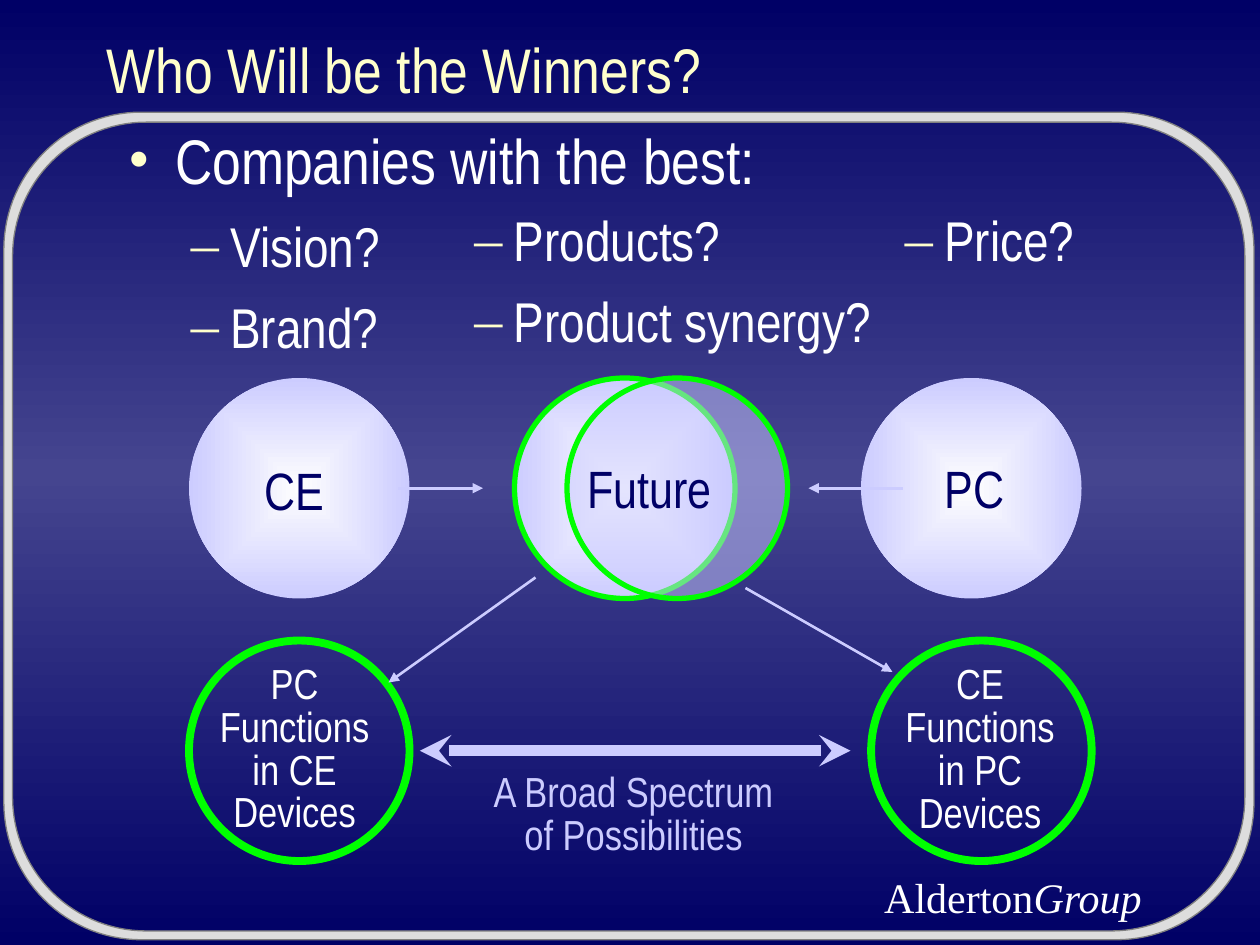
from math import cos, radians, sin

from lxml.etree import SubElement
from pptx import Presentation
from pptx.dml.color import RGBColor
from pptx.enum.shapes import MSO_CONNECTOR, MSO_SHAPE
from pptx.enum.text import MSO_ANCHOR, MSO_AUTO_SIZE, PP_ALIGN
from pptx.oxml.ns import qn
from pptx.util import Pt

NAVY = RGBColor(0x00, 0x00, 0x66)
INDIGO = RGBColor(0x45, 0x45, 0x8F)
LAVENDER = RGBColor(0xCC, 0xCC, 0xFF)
NEAR_WHITE = RGBColor(0xFE, 0xFE, 0xFE)
WHITE = RGBColor(0xFF, 0xFF, 0xFF)
CREAM = RGBColor(0xFF, 0xFF, 0xCC)
GREEN = RGBColor(0x00, 0xFF, 0x00)
SILVER = RGBColor(0xDD, 0xDD, 0xDD)
GRAY = RGBColor(0x80, 0x80, 0x80)

NARROW, SERIF = "Arial Narrow", "Times New Roman"
DIAMETER = 126
TOP_ROW, BOTTOM_ROW = 216, 366

# left, top, right, bottom, corner radius
FRAME = [(2.2, 64.1, 716.6, 537, 78.5), (7.2, 69.8, 711.4, 532, 76.5)]

# left, top, width, height, [(text, bullet, size, margin, hanging indent, space before)]
LISTS = [
    (66, 66, 612, 324, [("Companies with the best:", "•", 36, 27, 27, 0),
                        ("Vision?", "–", 32, 58.5, 22.5, 8),
                        ("Brand?", "–", 32, 58.5, 22.5, 8)]),
    (192, 114, 360, 137.5, [("Products?", "–", 32, 94.5, 22.5, 0),
                            ("Product synergy?", "–", 32, 94.5, 22.5, 8)]),
    (438, 114, 360, 137.5, [("Price?", "–", 32, 94.5, 22.5, 0)]),
]

# left, top, fill style, outline width
CIRCLES = [
    (108, TOP_ROW, "glow", 0),
    (492, TOP_ROW, "glow", 0),
    (294, TOP_ROW, "glow", 3),
    (324, TOP_ROW, "glass", 3),
    (108, BOTTOM_ROW, "none", 4.5),
    (497.8, BOTTOM_ROW, "none", 4.5),
]

# start, end, width, arrowhead, arrowhead at both ends
ARROWS = [
    ((240, 429), (486, 429), 6, "stealth", True),
    ((227.5, 279), (276, 279), 1.5, "triangle", False),
    ((516, 279), (462, 279), 1.5, "triangle", False),
    ((306, 330), (222, 390), 1.5, "triangle", False),
    ((426, 336), (510, 384), 1.5, "triangle", False),
]

# text, centre, top, width, height, size, colour, line spacing
LABELS = [
    ("CE", 168, 258, 54, 43, 30, NAVY, 1),
    ("Future", 371.2, 257, 92, 43, 30, NAVY, 1),
    ("PC", 557, 257, 54, 43, 30, NAVY, 1),
    ("PC\vFunctions\vin CE\vDevices", 168.3, 376.5, 106, 105, 24, WHITE, 0.85),
    ("CE\vFunctions\vin PC\vDevices", 560, 376.8, 106, 105, 24, WHITE, 0.85),
    ("A Broad Spectrum\vof Possibilities", 362, 438.3, 182, 56, 24, LAVENDER, 0.85),
]


def set_gradient(fill, owner, stops, rectangular=False):
    """Fill with (percent, colour) stops, top to bottom or from the centre out."""
    fill.gradient()
    gradient = next(owner.iter(qn("a:gradFill")))
    for child in list(gradient):
        gradient.remove(child)
    stop_list = SubElement(gradient, qn("a:gsLst"))
    for percent, color in stops:
        stop = SubElement(stop_list, qn("a:gs"), pos=str(percent * 1000))
        SubElement(stop, qn("a:srgbClr"), val=str(color))
    if rectangular:
        shade = SubElement(gradient, qn("a:path"), path="rect")
        SubElement(shade, qn("a:fillToRect"), l="50000", t="50000", r="50000", b="50000")
    else:
        SubElement(gradient, qn("a:lin"), ang="5400000", scaled="1")


def rounded_outline(left, top, right, bottom, radius):
    corners = [(right - radius, top + radius, 270), (right - radius, bottom - radius, 0),
               (left + radius, bottom - radius, 90), (left + radius, top + radius, 180)]
    return [(Pt(x + radius * cos(radians(start + turn))),
             Pt(y + radius * sin(radians(start + turn))))
            for x, y, start in corners for turn in range(0, 91, 3)]


def add_frame(page):
    outer, inner = [rounded_outline(*ring) for ring in FRAME]
    builder = page.shapes.build_freeform(*outer[0])
    builder.add_line_segments(outer[1:])
    builder.move_to(*inner[0])
    builder.add_line_segments(inner[1:])
    frame = builder.convert_to_shape()
    frame.shadow.inherit = False
    frame.fill.solid()
    frame.fill.fore_color.rgb = SILVER
    frame.line.color.rgb = GRAY
    frame.line.width = Pt(0.75)


def add_text_box(page, left, top, width, height, wrap=True):
    box = page.shapes.add_textbox(Pt(left), Pt(top), Pt(width), Pt(height))
    box.text_frame.word_wrap = wrap
    box.text_frame.auto_size = MSO_AUTO_SIZE.NONE if wrap else MSO_AUTO_SIZE.SHAPE_TO_FIT_TEXT
    return box.text_frame


def format_runs(para, size, color, font=NARROW):
    for span in para.runs:
        span.font.name = font
        span.font.size = Pt(size)
        span.font.color.rgb = color


def add_list(page, left, top, width, height, items):
    frame = add_text_box(page, left, top, width, height)
    frame.text = "\n".join(item[0] for item in items)
    for para, (_, bullet, size, margin, hang, before) in zip(frame.paragraphs, items):
        properties = para._p.get_or_add_pPr()
        properties.set("marL", str(Pt(margin)))
        properties.set("indent", str(-Pt(hang)))
        bullet_color = SubElement(properties, qn("a:buClr"))
        SubElement(bullet_color, qn("a:srgbClr"), val=str(CREAM))
        SubElement(properties, qn("a:buFont"), typeface=SERIF)
        SubElement(properties, qn("a:buChar"), char=bullet)
        para.space_before = Pt(before)
        format_runs(para, size, WHITE)


def add_circle(page, left, top, style, outline):
    circle = page.shapes.add_shape(MSO_SHAPE.OVAL, Pt(left), Pt(top), Pt(DIAMETER), Pt(DIAMETER))
    circle.shadow.inherit = False
    if style == "glow":
        set_gradient(circle.fill, circle._element, [(0, NEAR_WHITE), (100, LAVENDER)], True)
    elif style == "glass":
        circle.fill.solid()
        circle.fill.fore_color.rgb = LAVENDER
        color = next(circle._element.spPr.iter(qn("a:srgbClr")))
        SubElement(color, qn("a:alpha"), val="50000")
    else:
        circle.fill.background()
    if outline:
        circle.line.color.rgb = GREEN
        circle.line.width = Pt(outline)
    else:
        circle.line.fill.background()


def add_arrow(page, start, end, width, head, both_ends):
    points = [Pt(value) for value in start + end]
    arrow = page.shapes.add_connector(MSO_CONNECTOR.STRAIGHT, *points)
    arrow.line.color.rgb = LAVENDER
    arrow.line.width = Pt(width)
    properties = arrow._element.spPr
    line = properties.find(qn("a:ln"))
    for tag in ("a:headEnd", "a:tailEnd") if both_ends else ("a:tailEnd",):
        SubElement(line, qn(tag), type=head)
    SubElement(properties, qn("a:effectLst"))


def add_label(page, text, center, top, width, height, size, color, spacing):
    frame = add_text_box(page, center - width / 2, top, width, height, wrap=False)
    frame.text = text
    para = frame.paragraphs[0]
    para.alignment = PP_ALIGN.CENTER
    para.line_spacing = spacing
    format_runs(para, size, color)


def main():
    deck = Presentation()
    deck.slide_width, deck.slide_height = Pt(720), Pt(540)
    page = deck.slides.add_slide(deck.slide_layouts[6])
    set_gradient(page.background.fill, page._element, [(0, NAVY), (50, INDIGO), (100, NAVY)])
    add_frame(page)

    signature = add_text_box(page, 498.2, 494.6, 170, 36, wrap=False).paragraphs[0]
    for word in ("Alderton", "Group"):
        signature.add_run().text = word
    format_runs(signature, 24, WHITE, SERIF)
    signature.runs[1].font.italic = True

    title = add_text_box(page, 54, -6, 612, 90)
    title.vertical_anchor = MSO_ANCHOR.MIDDLE
    title.text = "Who Will be the Winners?"
    format_runs(title.paragraphs[0], 36, CREAM)

    for add, rows in ((add_circle, CIRCLES), (add_arrow, ARROWS),
                      (add_label, LABELS), (add_list, LISTS)):
        for row in rows:
            add(page, *row)
    deck.save("out.pptx")


if __name__ == "__main__":
    main()
